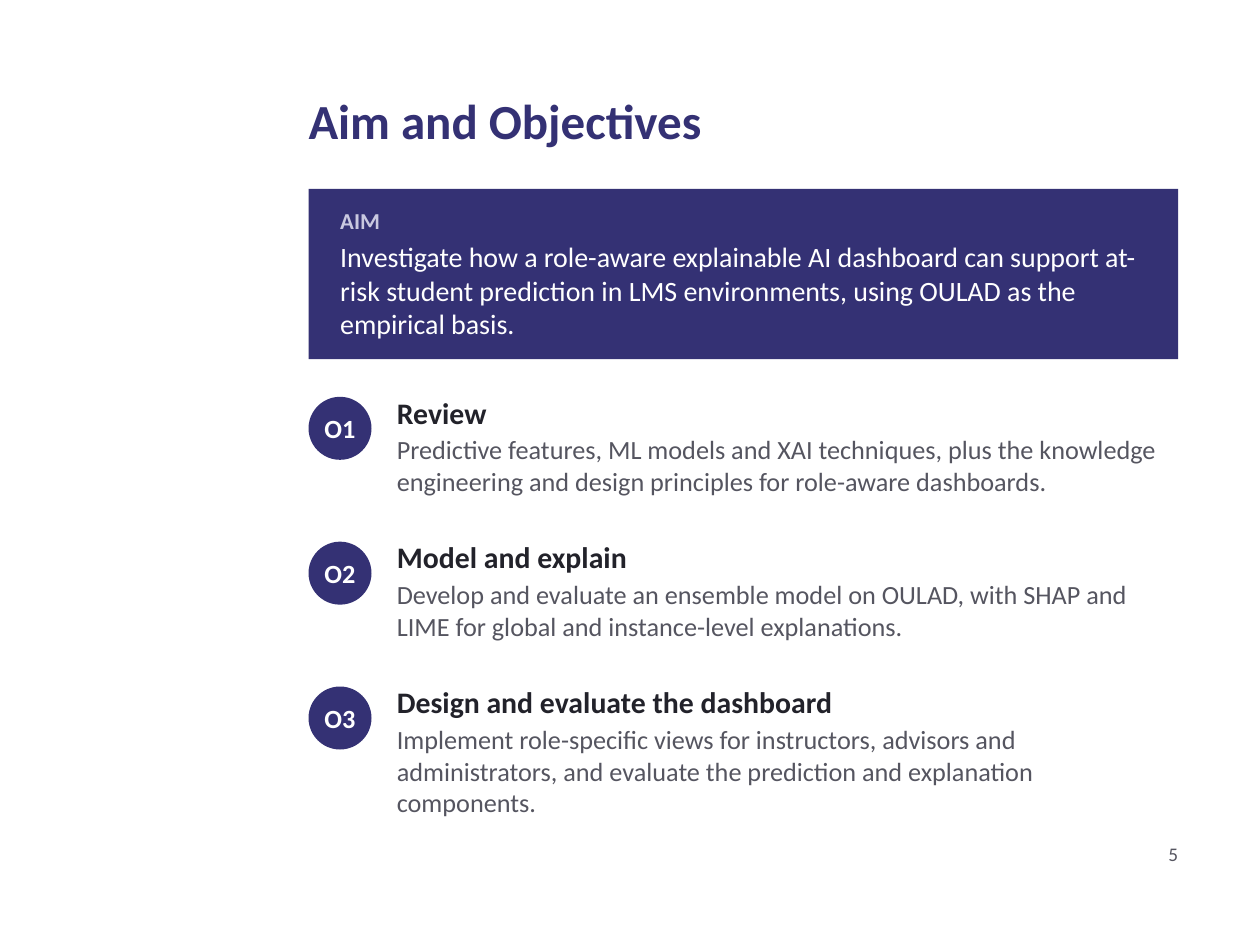
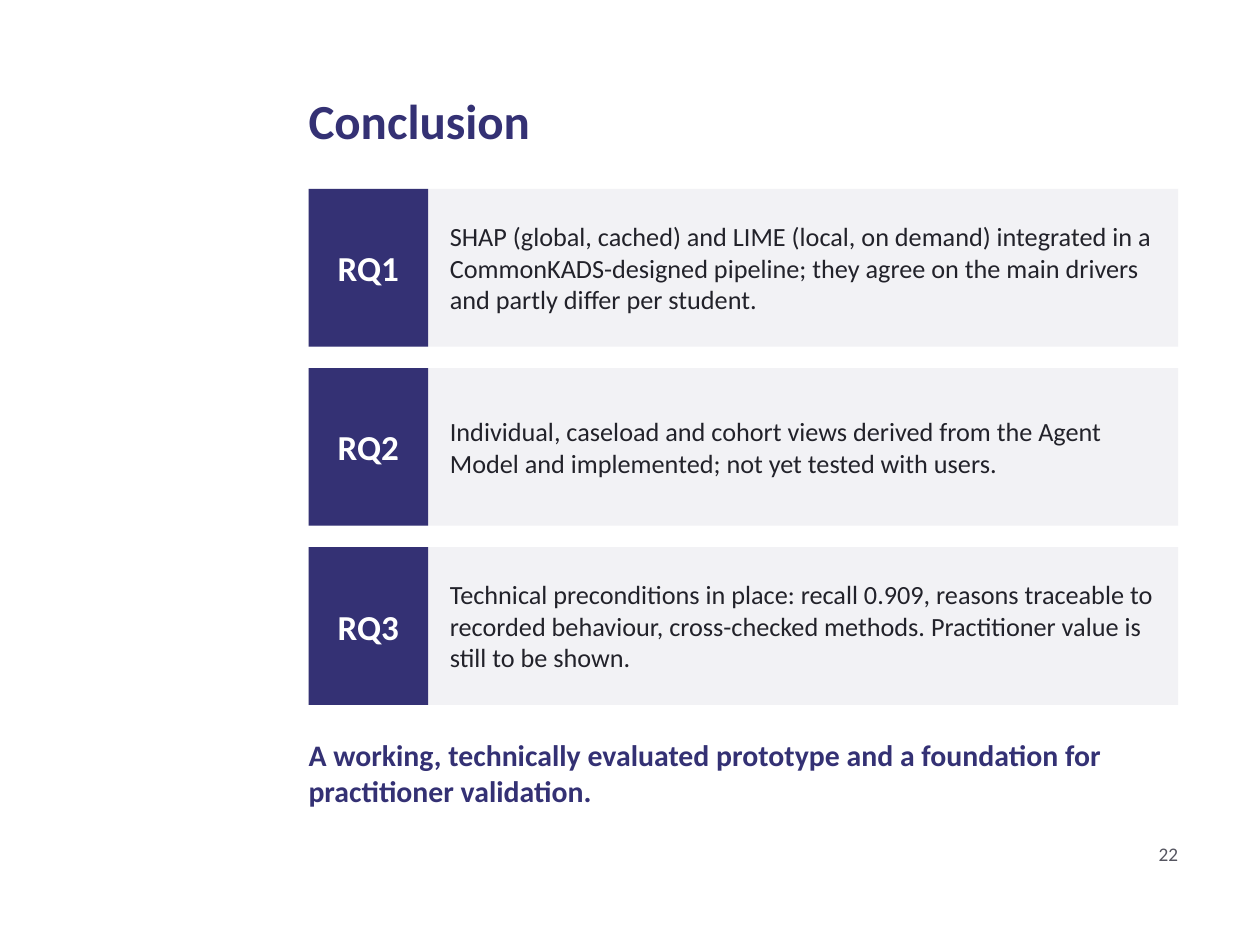
from dataclasses import dataclass
from typing import Any

import pptx
import pptx.dml.color
import pptx.enum.shapes
import pptx.enum.text
import pptx.util

Cm = pptx.util.Cm
Align = pptx.enum.text.PP_ALIGN
Anchor = pptx.enum.text.MSO_ANCHOR
Preset = pptx.enum.shapes.MSO_SHAPE

FONT = "Calibri"
INDIGO = "343174"
LILAC = "C9C8E0"
WHITE = "FFFFFF"
PANEL_GREY = "F2F2F5"
INK = "22222A"
GREY = "555560"

# Shared column, in centimetres
LEFT = 6.22
WIDTH = 17.53
TOP = 3.81
TITLE_ONLY = 5


@dataclass(frozen=True)
class Area:
    left: float
    top: float
    width: float
    height: float

    def lengths(self) -> tuple:
        return Cm(self.left), Cm(self.top), Cm(self.width), Cm(self.height)


@dataclass(frozen=True)
class Line:
    """One paragraph with its format; after is the space below in points."""
    text: str
    size: float
    colour: str
    bold: bool = False
    after: float = 6
    align: Any = Align.LEFT


@dataclass(frozen=True)
class Objective:
    label: str
    heading: str
    detail: str


@dataclass(frozen=True)
class Finding:
    label: str
    answer: str


OBJECTIVES = [
    Objective("O1", "Review",
              "Predictive features, ML models and XAI techniques, plus the knowledge "
              "engineering and design principles for role-aware dashboards."),
    Objective("O2", "Model and explain",
              "Develop and evaluate an ensemble model on OULAD, with SHAP and LIME "
              "for global and instance-level explanations."),
    Objective("O3", "Design and evaluate the dashboard",
              "Implement role-specific views for instructors, advisors and "
              "administrators, and evaluate the prediction and explanation components."),
]

FINDINGS = [
    Finding("RQ1", "SHAP (global, cached) and LIME (local, on demand) integrated in a "
                   "CommonKADS-designed pipeline; they agree on the main drivers and "
                   "partly differ per student."),
    Finding("RQ2", "Individual, caseload and cohort views derived from the Agent Model "
                   "and implemented; not yet tested with users."),
    Finding("RQ3", "Technical preconditions in place: recall 0.909, reasons traceable to "
                   "recorded behaviour, cross-checked methods. Practitioner value is "
                   "still to be shown."),
]


def colour_of(value: str) -> pptx.dml.color.RGBColor:
    return pptx.dml.color.RGBColor.from_string(value)


def write(box: Any, lines: list[Line], anchor: Any = Anchor.TOP, inset: float = 0) -> None:
    """Fill a box with lines; inset is the top and bottom margin in centimetres."""
    frame = box.text_frame
    frame.word_wrap = True
    frame.auto_size = pptx.enum.text.MSO_AUTO_SIZE.NONE
    frame.vertical_anchor = anchor
    frame.margin_left = frame.margin_right = 0
    frame.margin_top = frame.margin_bottom = Cm(inset)
    frame.text = "\n".join(line.text for line in lines)
    for para, line in zip(frame.paragraphs, lines):
        para.alignment = line.align
        para.space_after = pptx.util.Pt(line.after)
        for span in para.runs:
            span.font.name = FONT
            span.font.size = pptx.util.Pt(line.size)
            span.font.bold = line.bold
            span.font.color.rgb = colour_of(line.colour)


def add_text(page: Any, area: Area, lines: list[Line], anchor: Any = Anchor.TOP) -> None:
    write(page.shapes.add_textbox(*area.lengths()), lines, anchor)


def add_filled(page: Any, preset: Any, area: Area, fill: str) -> Any:
    shape = page.shapes.add_shape(preset, *area.lengths())
    shape.shadow.inherit = False
    shape.fill.solid()
    shape.fill.fore_color.rgb = colour_of(fill)
    shape.line.fill.background()
    return shape


def add_page(deck: Any, title: str, number: int) -> Any:
    page = deck.slides.add_slide(deck.slide_layouts[TITLE_ONLY])
    heading = page.shapes.title
    heading.left, heading.top, heading.width, heading.height = Area(
        LEFT, 1.4, WIDTH, 2.03).lengths()
    write(heading, [Line(title, 28, INDIGO, bold=True, after=0)], Anchor.MIDDLE, inset=0.13)
    add_text(page, Area(22.23, 16.97, 1.52, 0.71),
             [Line(str(number), 11, GREY, align=Align.RIGHT)])
    return page


def add_objective(page: Any, top: float, objective: Objective) -> None:
    badge = add_filled(page, Preset.OVAL, Area(LEFT, top, 1.27, 1.27), INDIGO)
    write(badge, [Line(objective.label, 15, WHITE, bold=True, after=0, align=Align.CENTER)],
          Anchor.MIDDLE)
    add_text(page, Area(LEFT + 1.78, top - 0.05, WIDTH - 1.78, 2.79), [
        Line(objective.heading, 17, INK, bold=True, after=2),
        Line(objective.detail, 15, GREY, after=2),
    ])


def add_finding(page: Any, top: float, finding: Finding) -> None:
    height = 3.18
    add_filled(page, Preset.RECTANGLE, Area(LEFT, top, WIDTH, height), PANEL_GREY)
    label = add_filled(page, Preset.RECTANGLE, Area(LEFT, top, 2.41, height), INDIGO)
    write(label, [Line(finding.label, 20, WHITE, bold=True, align=Align.CENTER)],
          Anchor.MIDDLE)
    add_text(page, Area(LEFT + 2.85, top + 0.13, 14.22, height - 0.26),
             [Line(finding.answer, 15, INK)], Anchor.MIDDLE)


def add_objectives_page(deck: Any) -> None:
    page = add_page(deck, "Aim and Objectives", 5)
    add_filled(page, Preset.RECTANGLE, Area(LEFT, TOP, WIDTH, 3.43), INDIGO)
    add_text(page, Area(LEFT + 0.64, TOP + 0.18, WIDTH - 1.27, 3.05), [
        Line("AIM", 13, LILAC, bold=True, after=3),
        Line("Investigate how a role-aware explainable AI dashboard can support at-risk "
             "student prediction in LMS environments, using OULAD as the empirical basis.",
             16, WHITE, after=3),
    ], Anchor.MIDDLE)
    for row, objective in enumerate(OBJECTIVES):
        add_objective(page, 8 + row * 2.92, objective)


def add_conclusion_page(deck: Any) -> None:
    page = add_page(deck, "Conclusion", 22)
    for row, finding in enumerate(FINDINGS):
        add_finding(page, TOP + row * 3.61, finding)
    add_text(page, Area(LEFT, 14.86, WIDTH, 1.91), [
        Line("A working, technically evaluated prototype and a foundation for "
             "practitioner validation.", 17, INDIGO, bold=True)])


def main() -> None:
    deck = pptx.Presentation()
    deck.slide_width, deck.slide_height = Cm(25.4), Cm(19.05)
    add_objectives_page(deck)
    add_conclusion_page(deck)
    deck.save("out.pptx")


if __name__ == "__main__":
    main()
